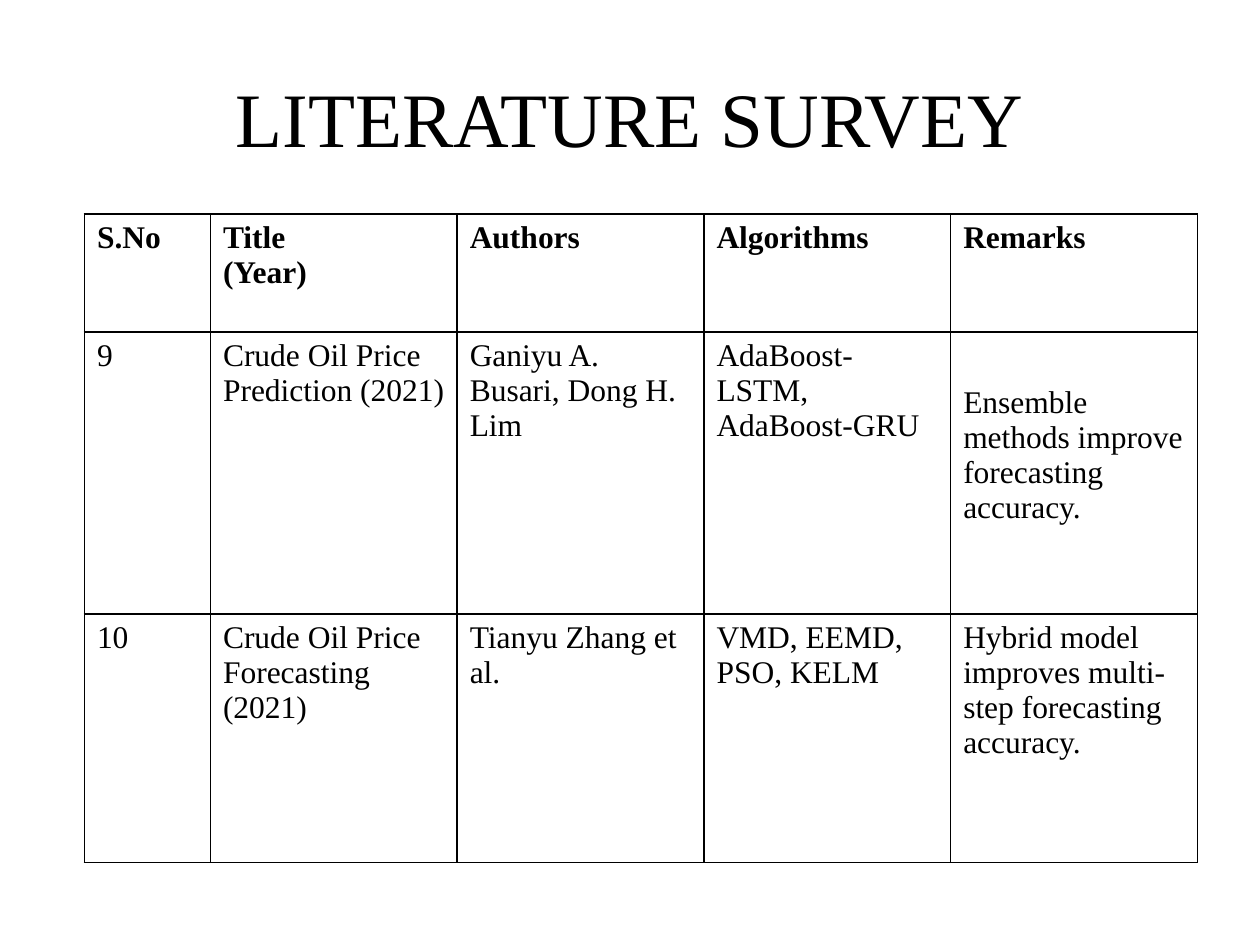
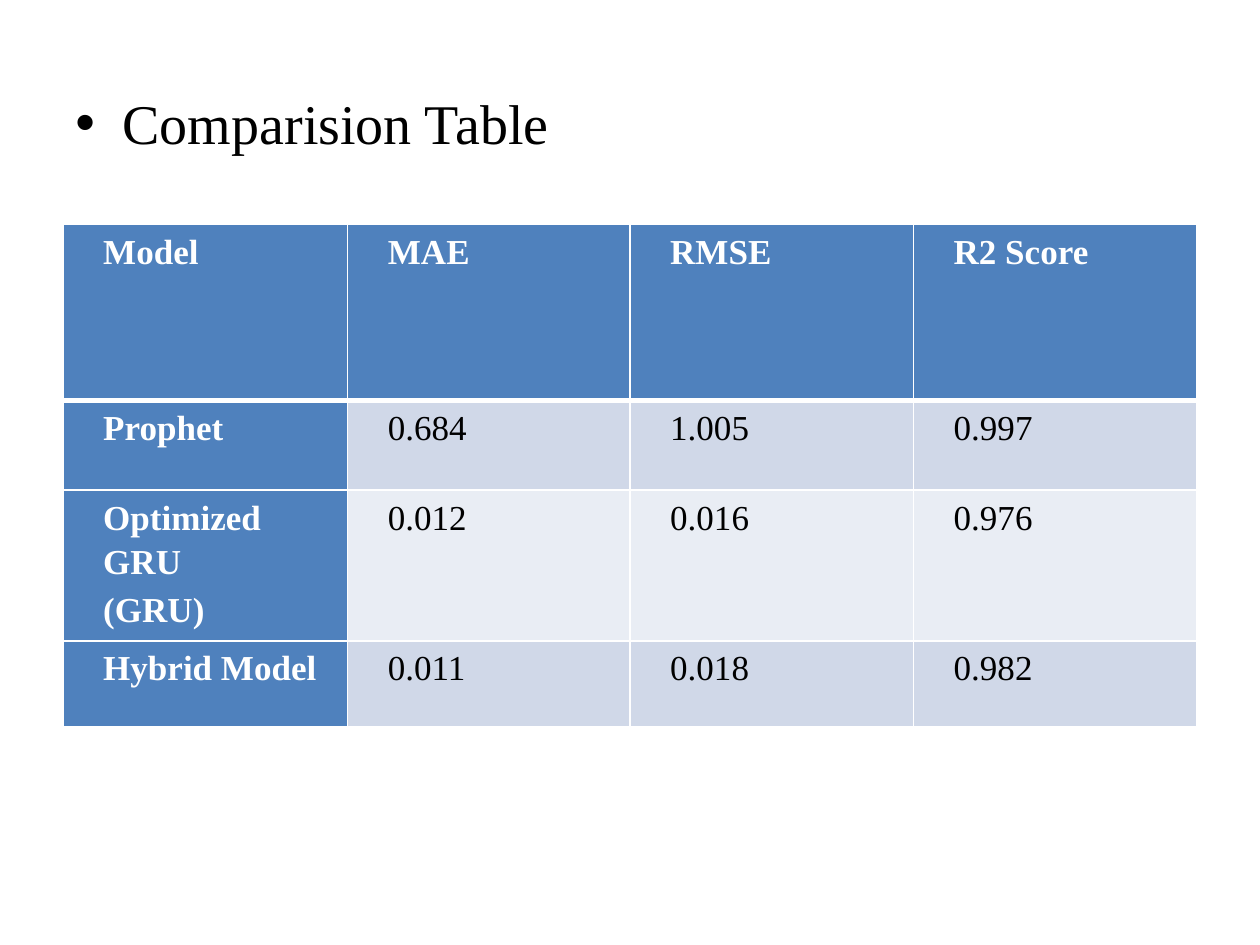
from lxml.etree import SubElement
from pptx import Presentation
from pptx.dml.color import RGBColor
from pptx.enum.text import MSO_ANCHOR, PP_ALIGN
from pptx.oxml.ns import qn
from pptx.util import Pt

FONT = "Times New Roman"
COLORS = {
    "black": "000000",
    "white": "FFFFFF",
    "blue": "4F81BD",
    "band_dark": "D0D8E8",
    "band_light": "E9EDF4",
}
SURVEY = [
    ["S.No", "Title\n(Year)", "Authors", "Algorithms", "Remarks"],
    ["9", "Crude Oil Price Prediction (2021)", "Ganiyu A. Busari, Dong H. Lim",
     "AdaBoost-LSTM, AdaBoost-GRU", "Ensemble methods improve forecasting accuracy."],
    ["10", "Crude Oil Price Forecasting (2021)", "Tianyu Zhang et al.",
     "VMD, EEMD, PSO, KELM", "Hybrid model improves multi-step forecasting accuracy."],
]
SCORES = [
    ["Model", "MAE", "RMSE", "R2 Score"],
    ["Prophet", "0.684", "1.005", "0.997"],
    ["Optimized GRU\n(GRU)", "0.012", "0.016", "0.976"],
    ["Hybrid Model", "0.011", "0.018", "0.982"],
]


def rgb(name):
    """Return the named colour."""
    return RGBColor.from_string(COLORS[name])


def write(tf, text, size=18, color="black", bold=False, align=PP_ALIGN.LEFT,
          spacing=None, before=0, indent=0, hanging=0, bullet=None):
    """Fill a text frame with one paragraph per line of text."""
    for i, line in enumerate(text.split("\n")):
        p = tf.add_paragraph() if i else tf.paragraphs[0]
        pPr = p._p.get_or_add_pPr()
        pPr.set("marL", str(Pt(indent)))
        pPr.set("indent", str(-Pt(hanging)))
        if bullet:
            SubElement(pPr, qn("a:buFont")).set("typeface", "Arial")
            SubElement(pPr, qn("a:buChar")).set("char", bullet)
        p.alignment = align
        if spacing:
            p.line_spacing = spacing
        if i and before:
            p.space_before = Pt(before)
        r = p.add_run()
        r.text = line
        r.font.name, r.font.size, r.font.bold = FONT, Pt(size), bold
        r.font.color.rgb = rgb(color)


def add_text(s, box, text, anchor=MSO_ANCHOR.TOP, top=3.6, **fmt):
    """Add a wrapping text box."""
    tf = s.shapes.add_textbox(*map(Pt, box)).text_frame
    tf.word_wrap = True
    tf.vertical_anchor = anchor
    tf.margin_top = Pt(top)
    write(tf, text, **fmt)


def add_grid(s, left, top, widths, heights):
    """Add a plain table with the given column widths and row heights."""
    frame = s.shapes.add_table(len(heights), len(widths), Pt(left), Pt(top),
                               Pt(sum(widths)), Pt(sum(heights)))
    tbl = frame.table
    tbl.first_row = tbl.horz_banding = False
    for col, width in zip(tbl.columns, widths):
        col.width = Pt(width)
    for row, height in zip(tbl.rows, heights):
        row.height = Pt(height)
    return tbl


def set_borders(cell, color, top=1, bottom=1):
    """Draw the four borders of a cell."""
    tcPr = cell._tc.get_or_add_tcPr()
    for side, width in zip("LRTB", (1, 1, top, bottom)):
        ln = SubElement(tcPr, qn(f"a:ln{side}"), w=str(Pt(width)))
        fill = SubElement(ln, qn("a:solidFill"))
        SubElement(fill, qn("a:srgbClr"), val=COLORS[color])


def add_survey(s):
    """Add the outlined table of surveyed papers."""
    tbl = add_grid(s, 48.24, 122.4, [72] + [141] * 4, [67.3, 161.3, 142])
    for i, row in enumerate(SURVEY):
        for j, text in enumerate(row):
            cell = tbl.cell(i, j)
            set_borders(cell, "black")
            cell.fill.background()
            write(cell.text_frame, text, bold=i == 0)
    remark = tbl.cell(1, 4)
    remark.vertical_anchor = MSO_ANCHOR.MIDDLE
    remark.margin_bottom = Pt(24)


def add_scores(s):
    """Add the filled table of model scores."""
    tbl = add_grid(s, 36, 128.16, [162.7, 161.3, 162, 162], [100.8, 51.1, 72, 49])
    for i, row in enumerate(SCORES):
        for j, text in enumerate(row):
            cell = tbl.cell(i, j)
            head = i == 0 or j == 0
            band = "band_dark" if i % 2 else "band_light"
            set_borders(cell, "white", top=3 if i == 1 else 1, bottom=1 if i else 3)
            cell.fill.solid()
            cell.fill.fore_color.rgb = rgb("blue" if head else band)
            cell.margin_left = cell.margin_right = Pt(5)
            cell.margin_top, cell.margin_bottom = Pt(1.7), 0
            write(cell.text_frame, text, size=20, bold=head,
                  color="white" if head else "black", align=PP_ALIGN.JUSTIFY,
                  spacing=1.15, before=1.7, indent=18)


def main():
    """Build both slides and save them."""
    prs = Presentation()
    prs.slide_width, prs.slide_height = Pt(720), Pt(540)
    blank = prs.slide_layouts[6]

    s = prs.slides.add_slide(blank)
    add_text(s, (36, 21.6, 648, 90), "LITERATURE SURVEY", size=44,
             align=PP_ALIGN.CENTER, anchor=MSO_ANCHOR.MIDDLE)
    add_survey(s)

    s = prs.slides.add_slide(blank)
    add_text(s, (36, 43.2, 648, 439.2), "Comparision Table", size=32, top=7.2,
             indent=27, hanging=27, bullet="•")
    add_scores(s)

    prs.save("out.pptx")


if __name__ == "__main__":
    main()
